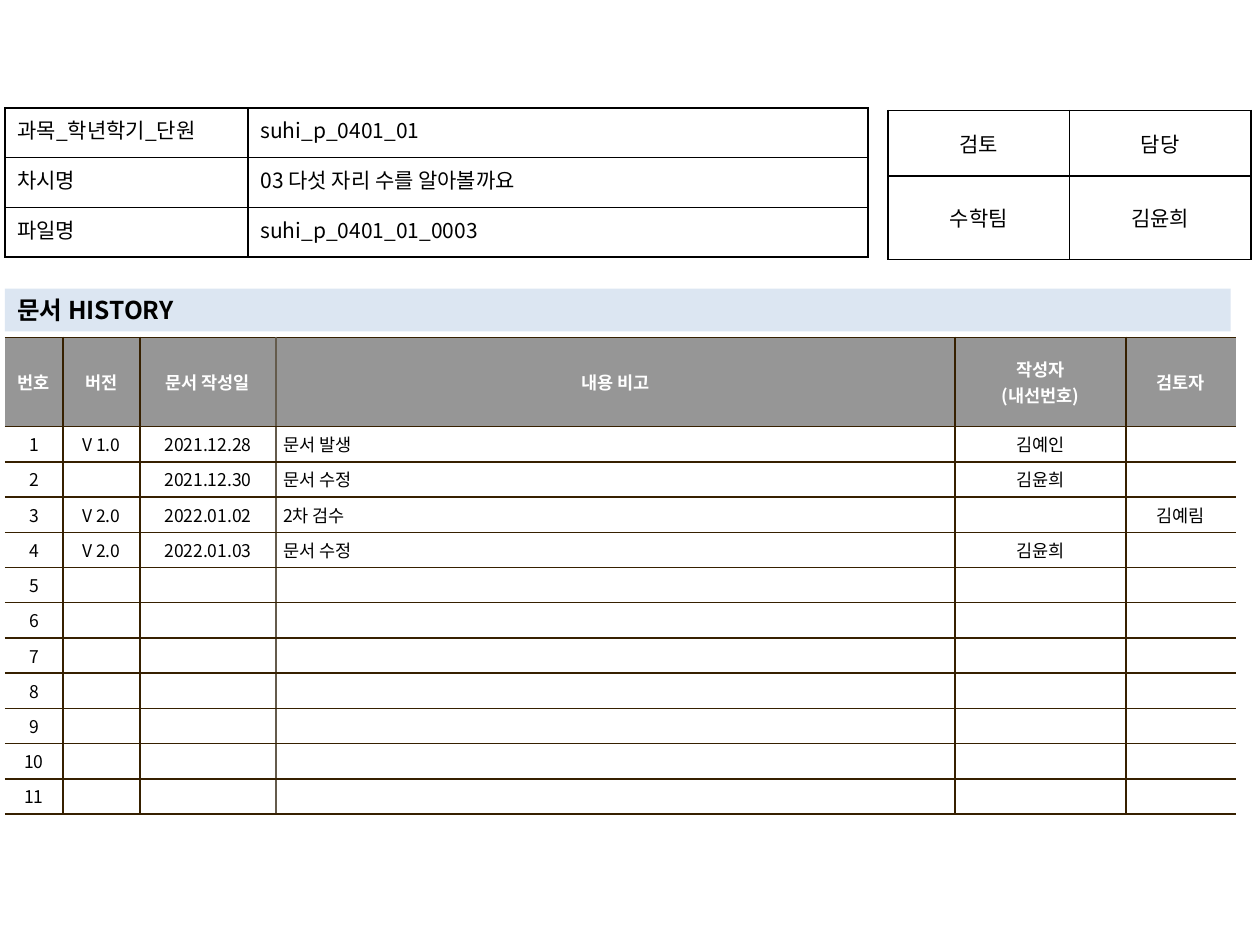
from dataclasses import dataclass, field
from typing import Optional

from lxml.etree import SubElement
from pptx import Presentation
from pptx.dml.color import RGBColor as Rgb
from pptx.enum.shapes import MSO_SHAPE as Preset
from pptx.enum.text import MSO_ANCHOR as Anchor, PP_ALIGN as Align
from pptx.oxml.ns import qn
from pptx.util import Cm, Pt


@dataclass(frozen=True)
class Theme:
    font: str = "Noto Sans CJK KR"
    black: str = "000000"
    white: str = "FFFFFF"
    gray: str = "969696"
    pale_blue: str = "DCE6F2"
    brown: str = "362000"
    light_brown: str = "645B4C"
    history_size: int = 10
    form_size: int = 12
    heading_size: int = 14
    line_width: int = 1


THEME = Theme()


@dataclass(frozen=True)
class TextStyle:
    size: int
    color: str = THEME.black
    bold: bool = False


@dataclass(frozen=True)
class TableSpec:
    """Lengths are in centimetres; alignments go by column."""
    left: float
    top: float
    columns: list[float]
    rows: list[float]
    texts: list[list[str]]
    alignments: list[Align]
    body: TextStyle
    anchor: Anchor = Anchor.MIDDLE
    margins: tuple[float, float] = (0.25, 0.13)
    line: str = THEME.black
    fill: Optional[str] = None
    header: Optional[TextStyle] = None
    header_fill: Optional[str] = None
    open_sides: bool = False
    soft_edges: dict[int, str] = field(default_factory=dict)


HISTORY_ENTRIES = [
    ["V 1.0", "2021.12.28", "문서 발생", "김예인", ""],
    ["", "2021.12.30", "문서 수정", "김윤희", ""],
    ["V 2.0", "2022.01.02", "2차 검수", "", "김예림"],
    ["V 2.0", "2022.01.03", "문서 수정", "김윤희", ""],
]
HISTORY_ROWS = 11
HISTORY_ENTRIES += [[""] * 5] * (HISTORY_ROWS - len(HISTORY_ENTRIES))

HISTORY = TableSpec(
    left=0.1, top=6.8,
    columns=[1.17, 1.55, 2.74, 13.69, 3.45, 2.21],
    rows=[1.8] + [0.71] * HISTORY_ROWS,
    texts=[["번호", "버전", "문서 작성일", "내용 비고", "작성자\n(내선번호)", "검토자"]]
    + [[str(number), *entry] for number, entry in enumerate(HISTORY_ENTRIES, 1)],
    alignments=[Align.CENTER] * 3 + [Align.LEFT] + [Align.CENTER] * 2,
    body=TextStyle(THEME.history_size),
    margins=(0.15, 0.1), line=THEME.brown, fill=THEME.white,
    header=TextStyle(THEME.history_size, THEME.white, True),
    header_fill=THEME.gray, open_sides=True,
    soft_edges={3: THEME.light_brown},
)

REVIEW = TableSpec(
    left=17.9, top=2.23, columns=[3.66] * 2, rows=[1.32, 1.68],
    texts=[["검토", "담당"], ["수학팀", "김윤희"]],
    alignments=[Align.CENTER] * 2, body=TextStyle(THEME.form_size),
)

LESSON = TableSpec(
    left=0.1, top=2.18, columns=[4.9, 12.5], rows=[1.0] * 3,
    texts=[
        ["과목_학년학기_단원", "suhi_p_0401_01"],
        ["차시명", "03 다섯 자리 수를 알아볼까요"],
        ["파일명", "suhi_p_0401_01_0003"],
    ],
    alignments=[Align.JUSTIFY, Align.LEFT],
    body=TextStyle(THEME.form_size), anchor=Anchor.TOP,
)


def set_values(target, values: dict) -> None:
    for name, value in values.items():
        setattr(target, name, value)


def write_text(frame, text: str, style: TextStyle, alignment: Align) -> None:
    for index, line in enumerate(text.split("\n")):
        para = frame.add_paragraph() if index else frame.paragraphs[0]
        para.alignment = alignment
        if not line:
            # An empty cell keeps the type size, so its row does not grow.
            para._p.get_or_add_endParaRPr().set("sz", str(style.size * 100))
            continue
        span = para.add_run()
        span.text = line
        set_values(span.font, {"name": THEME.font, "size": Pt(style.size),
                               "bold": style.bold})
        span.font.color.rgb = Rgb.from_string(style.color)
        SubElement(span._r.rPr, qn("a:ea"), typeface=THEME.font)


def draw_borders(cell, colors: dict[str, Optional[str]]) -> None:
    """Colours go by side, in the order L, R, T, B; None leaves a side open."""
    properties = cell._tc.get_or_add_tcPr()
    for side, color in colors.items():
        line = SubElement(properties, qn(f"a:ln{side}"),
                          w=str(Pt(THEME.line_width)))
        if color is None:
            SubElement(line, qn("a:noFill"))
        else:
            solid = SubElement(line, qn("a:solidFill"))
            SubElement(solid, qn("a:srgbClr"), val=color)


def draw_table(page, spec: TableSpec) -> None:
    table = page.shapes.add_table(
        len(spec.rows), len(spec.columns), Cm(spec.left), Cm(spec.top),
        Cm(sum(spec.columns)), Cm(sum(spec.rows))).table
    set_values(table, {"first_row": False, "horz_banding": False})
    for column, width in zip(table.columns, spec.columns):
        column.width = Cm(width)
    for row, height in zip(table.rows, spec.rows):
        row.height = Cm(height)

    last = len(spec.columns)
    edges = [spec.soft_edges.get(edge, spec.line) for edge in range(last + 1)]
    if spec.open_sides:
        edges[0] = edges[last] = None
    side, end = (Cm(margin) for margin in spec.margins)
    cell_format = {"margin_left": side, "margin_right": side,
                   "margin_top": end, "margin_bottom": end,
                   "vertical_anchor": spec.anchor}

    for row, texts in enumerate(spec.texts):
        is_header = row == 0 and spec.header is not None
        style = spec.header if is_header else spec.body
        fill = spec.header_fill if is_header else spec.fill
        for column, text in enumerate(texts):
            cell = table.cell(row, column)
            set_values(cell, cell_format)
            draw_borders(cell, {"L": edges[column], "R": edges[column + 1],
                                "T": spec.line, "B": spec.line})
            if fill is None:
                cell.fill.background()
            else:
                cell.fill.solid()
                cell.fill.fore_color.rgb = Rgb.from_string(fill)
            alignment = Align.CENTER if is_header else spec.alignments[column]
            write_text(cell.text_frame, text, style, alignment)


def draw_heading(page, text: str) -> None:
    box = page.shapes.add_shape(Preset.RECTANGLE, Cm(0.1), Cm(5.82),
                                Cm(24.71), Cm(0.86))
    box.shadow.inherit = False
    box.fill.solid()
    box.fill.fore_color.rgb = Rgb.from_string(THEME.pale_blue)
    box.line.fill.background()
    set_values(box.text_frame, {"margin_left": Cm(0.25), "margin_top": 0,
                                "margin_bottom": 0, "word_wrap": True,
                                "vertical_anchor": Anchor.MIDDLE})
    write_text(box.text_frame, text, TextStyle(THEME.heading_size, bold=True),
               Align.LEFT)


def main() -> None:
    deck = Presentation()
    set_values(deck, {"slide_width": Cm(25.4), "slide_height": Cm(19.05)})
    page = deck.slides.add_slide(deck.slide_layouts[6])
    draw_table(page, HISTORY)
    draw_table(page, REVIEW)
    draw_heading(page, "문서 HISTORY")
    draw_table(page, LESSON)
    deck.save("out.pptx")


if __name__ == "__main__":
    main()
